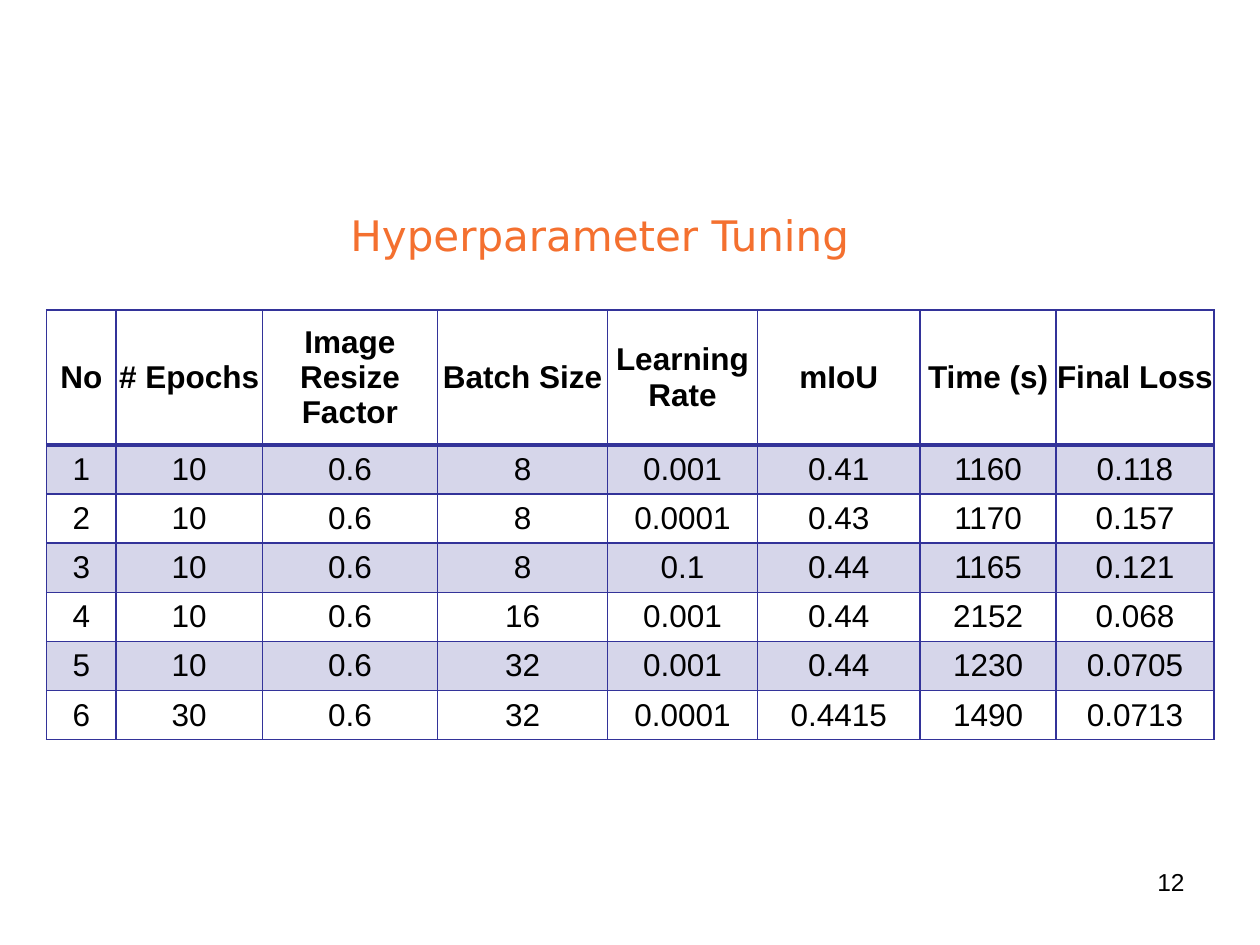
from lxml.etree import SubElement
from pptx import Presentation
from pptx.dml.color import RGBColor
from pptx.enum.text import MSO_ANCHOR, MSO_AUTO_SIZE, PP_ALIGN
from pptx.oxml.ns import qn
from pptx.util import Cm, Pt

ORANGE = "F4702F"
BLACK = "000000"
INDIGO = "333399"

HEADERS = ["No", "# Epochs", "Image Resize Factor", "Batch Size",
           "Learning Rate", "mIoU", "Time (s)", "Final Loss"]
RUNS = [
    ["1", "10", "0.6", "8", "0.001", "0.41", "1160", "0.118"],
    ["2", "10", "0.6", "8", "0.0001", "0.43", "1170", "0.157"],
    ["3", "10", "0.6", "8", "0.1", "0.44", "1165", "0.121"],
    ["4", "10", "0.6", "16", "0.001", "0.44", "2152", "0.068"],
    ["5", "10", "0.6", "32", "0.001", "0.44", "1230", "0.0705"],
    ["6", "30", "0.6", "32", "0.0001", "0.4415", "1490", "0.0713"],
]
COLUMN_WIDTHS = [1.4, 2.95, 3.53, 3.43, 3.02, 3.28, 2.74, 3.18]
HEADER_HEIGHT, ROW_HEIGHT = 2.72, 0.99


def color(hex_string):
    return RGBColor.from_string(hex_string)


def write(text_frame, text, size=18, font="Arial", fill=BLACK, bold=False,
          align=PP_ALIGN.LEFT):
    paragraph = text_frame.paragraphs[0]
    paragraph.alignment = align
    run = paragraph.add_run()
    run.text = text
    run.font.size = Pt(size)
    run.font.name = font
    run.font.bold = bold
    run.font.color.rgb = color(fill)


def set_border(cell, side, width):
    """Draw one side (L, R, T or B) of a cell; call before filling the cell."""
    properties = cell._tc.get_or_add_tcPr()
    line = SubElement(properties, qn(f"a:ln{side}"), w=str(Pt(width)))
    fill = SubElement(line, qn("a:solidFill"))
    SubElement(fill, qn("a:srgbClr"), val=INDIGO)


def tint(cell, opacity):
    """Fill a cell with see-through indigo; opacity is in percent."""
    cell.fill.solid()
    cell.fill.fore_color.rgb = color(INDIGO)
    rgb = cell._tc.tcPr.find(f"{qn('a:solidFill')}/{qn('a:srgbClr')}")
    SubElement(rgb, qn("a:alpha"), val=str(opacity * 1000))


class SlideBuilder:
    def __init__(self, presentation):
        self.slide = presentation.slides.add_slide(presentation.slide_layouts[5])

    def title(self, text, left, top, width, height):
        shape = self.slide.shapes.title
        shape.left, shape.top = Cm(left), Cm(top)
        shape.width, shape.height = Cm(width), Cm(height)
        frame = shape.text_frame
        frame.vertical_anchor = MSO_ANCHOR.TOP
        frame.auto_size = MSO_AUTO_SIZE.SHAPE_TO_FIT_TEXT
        write(frame, text, size=24, font="DejaVu Sans", fill=ORANGE)

    def page_number(self, text, left, top, width, height):
        shape = self.slide.shapes.add_textbox(Cm(left), Cm(top), Cm(width), Cm(height))
        shape.text_frame.word_wrap = True
        write(shape.text_frame, text, size=14, align=PP_ALIGN.RIGHT)

    def table(self, rows, left, top):
        heights = [HEADER_HEIGHT] + [ROW_HEIGHT] * (len(rows) - 1)
        table = self.slide.shapes.add_table(
            len(rows), len(COLUMN_WIDTHS), Cm(left), Cm(top),
            Cm(sum(COLUMN_WIDTHS)), Cm(sum(heights))).table
        table.first_row = table.horz_banding = False
        for column, width in zip(table.columns, COLUMN_WIDTHS):
            column.width = Cm(width)
        for row_index, (row, height) in enumerate(zip(rows, heights)):
            table.rows[row_index].height = Cm(height)
            for column_index, text in enumerate(row):
                self.cell(table.cell(row_index, column_index), text, row_index)

    def cell(self, cell, text, row_index):
        cell.margin_left = cell.margin_right = 0
        cell.margin_top = cell.margin_bottom = 0
        cell.vertical_anchor = MSO_ANCHOR.MIDDLE
        write(cell.text_frame, text, bold=row_index == 0, align=PP_ALIGN.CENTER)
        top_width = 2 if row_index == 1 else 1
        bottom_width = 2 if row_index == 0 else 1
        for side, width in zip("LRTB", (1, 1, top_width, bottom_width)):
            set_border(cell, side, width)
        if row_index % 2:
            tint(cell, 20)
        else:
            cell.fill.background()


def main():
    presentation = Presentation()
    presentation.slide_width, presentation.slide_height = Cm(25.4), Cm(19.05)
    builder = SlideBuilder(presentation)
    builder.title("Hyperparameter Tuning", 6.81, 4.09, 23.29, 1.32)
    builder.page_number("12", 18.21, 17.35, 5.92, 1.32)
    builder.table([HEADERS] + RUNS, 0.94, 6.25)
    presentation.save("out.pptx")


if __name__ == "__main__":
    main()
